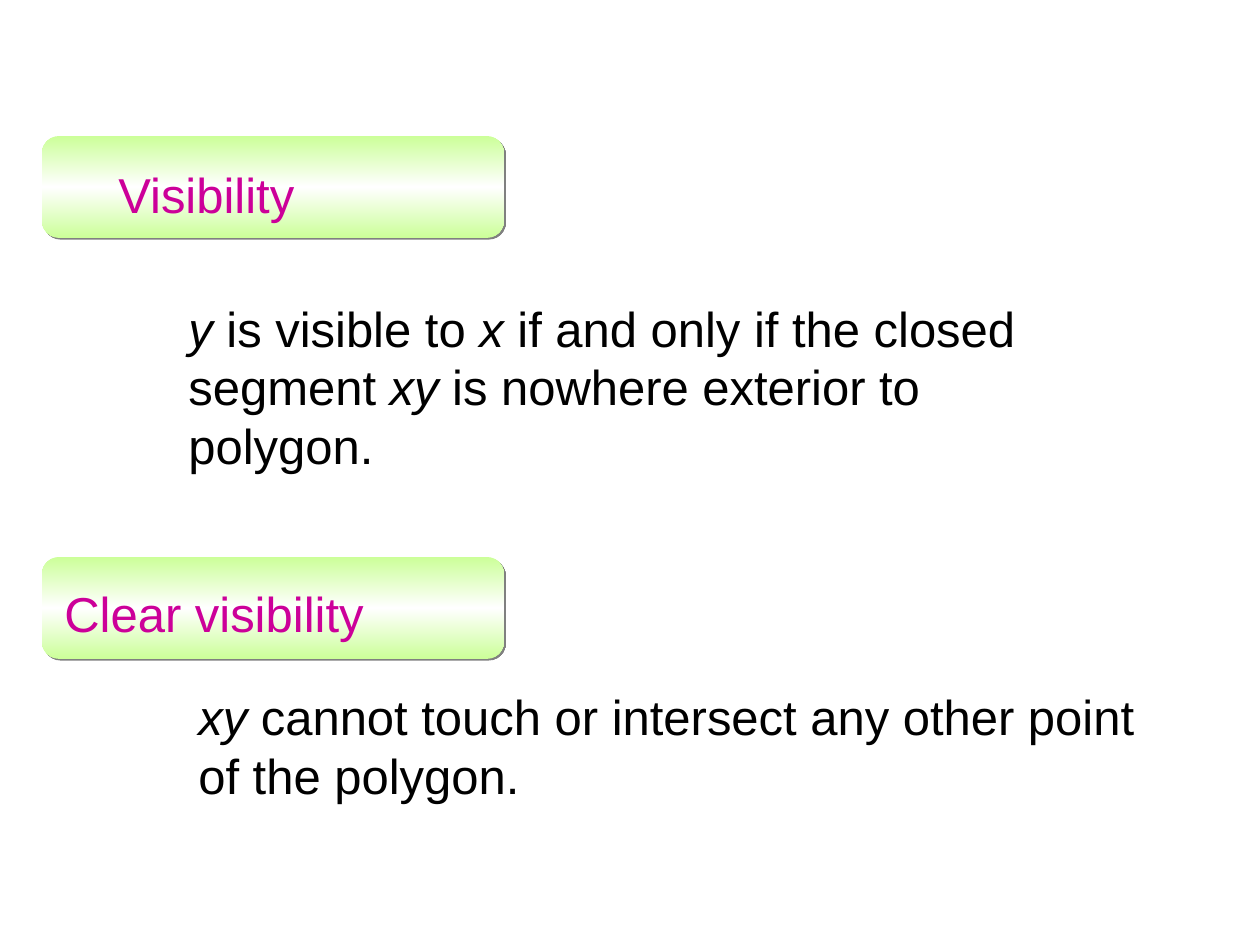
from copy import deepcopy
from dataclasses import dataclass

from lxml import etree
from pptx import Presentation
from pptx.dml.color import RGBColor
from pptx.enum.shapes import MSO_SHAPE
from pptx.enum.text import MSO_AUTO_SIZE
from pptx.oxml.ns import qn
from pptx.util import Pt

ROUND = MSO_SHAPE.ROUNDED_RECTANGLE
GROW = MSO_AUTO_SIZE.SHAPE_TO_FIT_TEXT


@dataclass
class Theme:
    font: str = "Arial"
    size: int = 28
    head: str = "CC0099"
    body: str = "000000"
    edge: str = "CCFF99"
    glow: str = "FFFFFF"
    shade: str = "808080"


theme = Theme()
SCALE = 914400 / 126


def px(*sizes):
    return [round(size * SCALE) for size in sizes]


deck = Presentation()
deck.slide_width, deck.slide_height = px(1260, 945)
slide = deck.slides.add_slide(deck.slide_layouts[6])

for top in (557, 136):
    plate = slide.shapes.add_shape(ROUND, *px(42, top, 462, 102))
    plate.adjustments[0] = 0.17
    plate.line.fill.background()
    plate.fill.gradient()
    plate.fill.gradient_angle = 270
    props = plate._element.spPr
    stops = props.find(".//" + qn("a:gsLst"))
    stops.append(deepcopy(stops[-1]))
    looks = ((0, theme.edge), (0.5, theme.glow), (1, theme.edge))
    for stop, (place, tone) in zip(plate.fill.gradient_stops, looks):
        stop.position = place
        stop.color.rgb = RGBColor.from_string(tone)
    plate.shadow.inherit = False
    effects = props.find(qn("a:effectLst"))
    shadow = etree.SubElement(effects, qn("a:outerShdw"), blurRad="0",
                              dist=str(Pt(1.4)), dir="2700000",
                              algn="ctr", rotWithShape="0")
    etree.SubElement(shadow, qn("a:srgbClr"), val=theme.shade)

texts = [
    ((106, 158, 229, 72), theme.head, False, [("Visibility", False)]),
    ((176, 292, 926, 189), theme.body, True, [
        ("y", True), (" is visible to ", False), ("x", True),
        (" if and only if the closed segment ", False), ("xy", True),
        (" is nowhere exterior to polygon.", False)]),
    ((52, 577, 324, 72), theme.head, False, [("Clear visibility", False)]),
    ((186, 680, 968, 131), theme.body, True, [
        ("xy", True),
        (" cannot touch or intersect any other point of the polygon.", False)]),
]
for area, tone, wrap, runs in texts:
    frame = slide.shapes.add_textbox(*px(*area)).text_frame
    frame.word_wrap = wrap
    frame.auto_size = GROW
    para = frame.paragraphs[0]
    para.font.name = theme.font
    para.font.size = Pt(theme.size)
    para.font.color.rgb = RGBColor.from_string(tone)
    for words, slant in runs:
        run = para.add_run()
        run.text = words
        run.font.italic = slant

deck.save("out.pptx")
